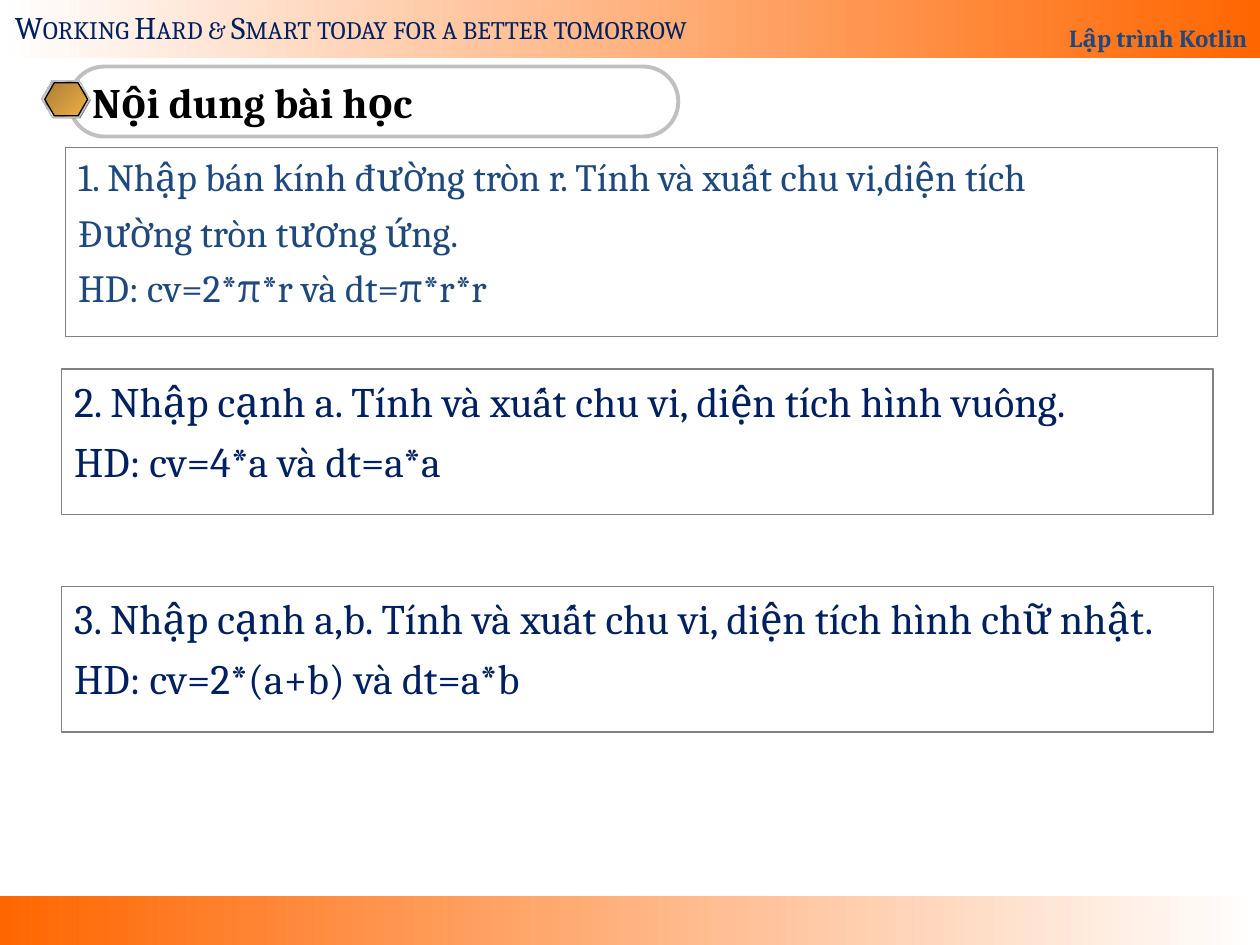
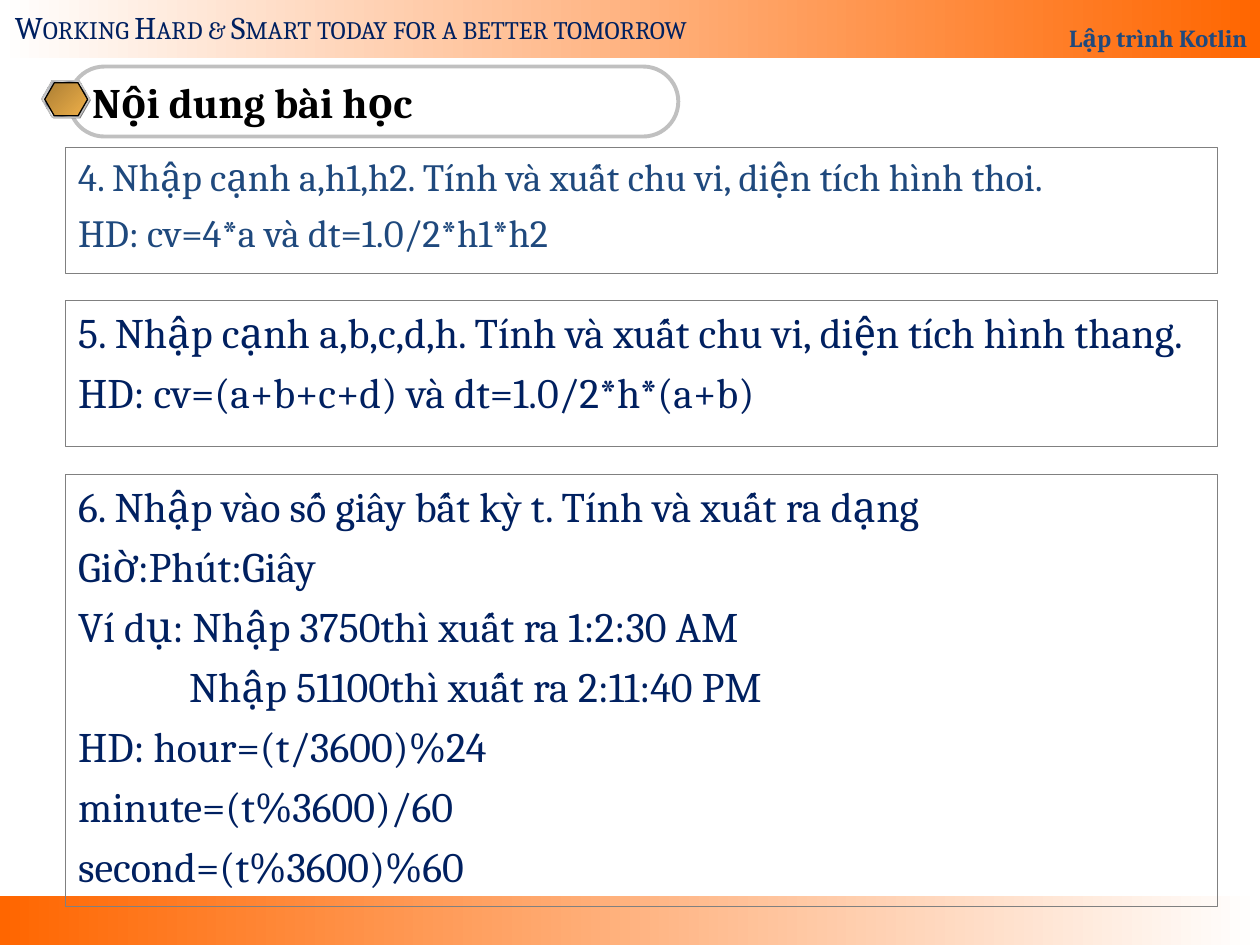
from lxml.etree import SubElement
from pptx import Presentation
from pptx.dml.color import RGBColor
from pptx.enum.shapes import MSO_SHAPE
from pptx.enum.text import MSO_ANCHOR, MSO_AUTO_SIZE, PP_ALIGN
from pptx.oxml.ns import qn
from pptx.util import Pt

COLORS = {
    "white": "FFFFFF", "orange": "FF6600", "blue": "1F497D", "navy": "002060",
    "black": "000000", "gray": "808080", "silver": "C0C0C0",
    "steel": "7D8496", "light": "E6E6E6", "bronze": "AB7E34", "gold": "EFB049",
}
FONT = "Cambria"
BAND = [(0, "white"), (100, "orange")]
BAND_FLIPPED = [(0, "orange"), (100, "white")]
BRONZE = [(0, "bronze"), (100, "gold")]
CHROME = [
    (0, "light"), (7, "steel"), (26, "light"), (34, "steel"), (46, "light"),
    (50, "white"), (54, "light"), (66, "steel"), (74, "light"), (93, "steel"),
    (100, "light"),
]
BOX_WIDTH = 658
EXAMPLE_INDENT = 63.4

# Each exercise: left, top, height, text size, colour, lines
SLIDES = [
    [
        (37.6, 84.2, 108, 22, "blue", [
            "1. Nhập bán kính đường tròn r. Tính và xuất chu vi,diện tích",
            "Đường tròn tương ứng.",
            "HD: cv=2*π*r và dt=π*r*r"]),
        (35.2, 210.8, 83.3, 24, "navy", [
            "2. Nhập cạnh a. Tính và xuất chu vi, diện tích hình vuông.",
            "HD: cv=4*a và dt=a*a"]),
        (35.3, 335, 83.3, 24, "navy", [
            "3. Nhập cạnh a,b. Tính và xuất chu vi, diện tích hình chữ nhật.",
            "HD: cv=2*(a+b) và dt=a*b"]),
    ],
    [
        (37.6, 84.2, 72, 22, "blue", [
            "4. Nhập cạnh a,h1,h2. Tính và xuất chu vi, diện tích hình thoi.",
            "HD: cv=4*a và dt=1.0/2*h1*h2"]),
        (37.6, 171.8, 83.3, 24, "navy", [
            "5. Nhập cạnh a,b,c,d,h. Tính và xuất chu vi, diện tích hình thang.",
            "HD: cv=(a+b+c+d) và dt=1.0/2*h*(a+b)"]),
        (37.6, 271, 247, 24, "navy", [
            "6. Nhập vào số giây bất kỳ t. Tính và xuất ra dạng",
            "Giờ:Phút:Giây",
            "Ví dụ: Nhập 3750thì xuất ra 1:2:30 AM",
            "\tNhập 51100thì xuất ra 2:11:40 PM",
            "HD: hour=(t/3600)%24",
            "minute=(t%3600)/60",
            "second=(t%3600)%60"]),
    ],
]


def rgb(name):
    return RGBColor.from_string(COLORS[name])


def fill_gradient(shape, stops, angle=0):
    """Fill with (percent, colour) stops; the angle runs clockwise."""
    shape.fill.gradient()
    shape.fill.gradient_angle = -angle % 360
    stop_list = shape.element.spPr.find(qn("a:gradFill")).find(qn("a:gsLst"))
    for stop in list(stop_list):
        stop_list.remove(stop)
    for percent, color in stops:
        stop = SubElement(stop_list, qn("a:gs"), pos=str(percent * 1000))
        SubElement(stop, qn("a:srgbClr"), val=COLORS[color])


def add_shape(page, kind, left, top, width, height, line=None, line_width=0.75):
    """Add an unfilled preset shape without shadow."""
    shape = page.shapes.add_shape(kind, Pt(left), Pt(top), Pt(width), Pt(height))
    shape.shadow.inherit = False
    shape.fill.background()
    if line:
        shape.line.color.rgb = rgb(line)
        shape.line.width = Pt(line_width)
    else:
        shape.line.fill.background()
    return shape


def add_span(para, text, size, color, bold=False):
    span = para.add_run()
    span.text = text
    span.font.name = FONT
    span.font.size = Pt(size)
    span.font.bold = bold
    span.font.color.rgb = rgb(color)
    return span


def add_bands(page):
    footer = add_shape(page, MSO_SHAPE.RECTANGLE, 0, 512, 720, 28)
    fill_gradient(footer, BAND_FLIPPED)

    header = add_shape(page, MSO_SHAPE.RECTANGLE, 0, -4.8, 720, 38)
    fill_gradient(header, BAND)
    header.text_frame.vertical_anchor = MSO_ANCHOR.BOTTOM
    para = header.text_frame.paragraphs[0]
    para.alignment = PP_ALIGN.RIGHT
    para.line_spacing = 1.8
    add_span(para, "Lập trình Kotlin", 14, "blue", bold=True)

    motto = page.shapes.add_textbox(Pt(1.4), Pt(0.8), Pt(425), Pt(29))
    motto.text_frame.word_wrap = False
    span = add_span(motto.text_frame.paragraphs[0],
                    "Working Hard & Smart today for a better tomorrow", 18, "navy")
    span.font._element.set("cap", "small")


def add_hexagon(page, left, top, width, height, line=None):
    hexagon = add_shape(page, MSO_SHAPE.HEXAGON, left, top, width, height, line)
    hexagon.adjustments[0] = 0.289
    return hexagon


def add_heading(page, text):
    pill = add_shape(page, MSO_SHAPE.ROUNDED_RECTANGLE, 39.6, 38, 348, 40,
                     "silver", 2.25)
    pill.adjustments[0] = 0.5

    shade = add_hexagon(page, 24.5, 46.8, 27.4, 20.9)
    shade.fill.solid()
    shade.fill.fore_color.rgb = rgb("gray")
    fill_gradient(add_hexagon(page, 23.8, 46.1, 27.4, 20.9, "silver"), CHROME, 45)
    fill_gradient(add_hexagon(page, 25.6, 47.3, 24.5, 18.9, "black"), BRONZE, 45)

    title = page.shapes.title
    title.left, title.top, title.width, title.height = Pt(45.4), Pt(38), Pt(330), Pt(40)
    frame = title.text_frame
    frame.auto_size = MSO_AUTO_SIZE.NONE
    frame.word_wrap = False
    frame.vertical_anchor = MSO_ANCHOR.MIDDLE
    para = frame.paragraphs[0]
    para.alignment = PP_ALIGN.LEFT
    add_span(para, text, 24, "black", bold=True)


def add_exercise(page, left, top, height, size, color, lines):
    """Add a framed exercise; a line that starts with a tab is indented."""
    box = add_shape(page, MSO_SHAPE.RECTANGLE, left, top, BOX_WIDTH, height, "gray")
    frame = box.text_frame
    frame.word_wrap = True
    frame.vertical_anchor = MSO_ANCHOR.TOP
    for index, line in enumerate(lines):
        para = frame.add_paragraph() if index else frame.paragraphs[0]
        para.alignment = PP_ALIGN.LEFT
        if index:
            para.space_before = Pt(round(0.23 * size, 1))
        if line.startswith("\t"):
            para._p.get_or_add_pPr().set("marL", str(Pt(EXAMPLE_INDENT)))
        add_span(para, line.lstrip("\t"), size, color)


def main():
    deck = Presentation()
    deck.slide_width, deck.slide_height = Pt(720), Pt(540)
    title_only = deck.slide_layouts[5]
    for exercises in SLIDES:
        page = deck.slides.add_slide(title_only)
        add_bands(page)
        add_heading(page, "Nội dung bài học")
        for exercise in exercises:
            add_exercise(page, *exercise)
    deck.save("out.pptx")


if __name__ == "__main__":
    main()
